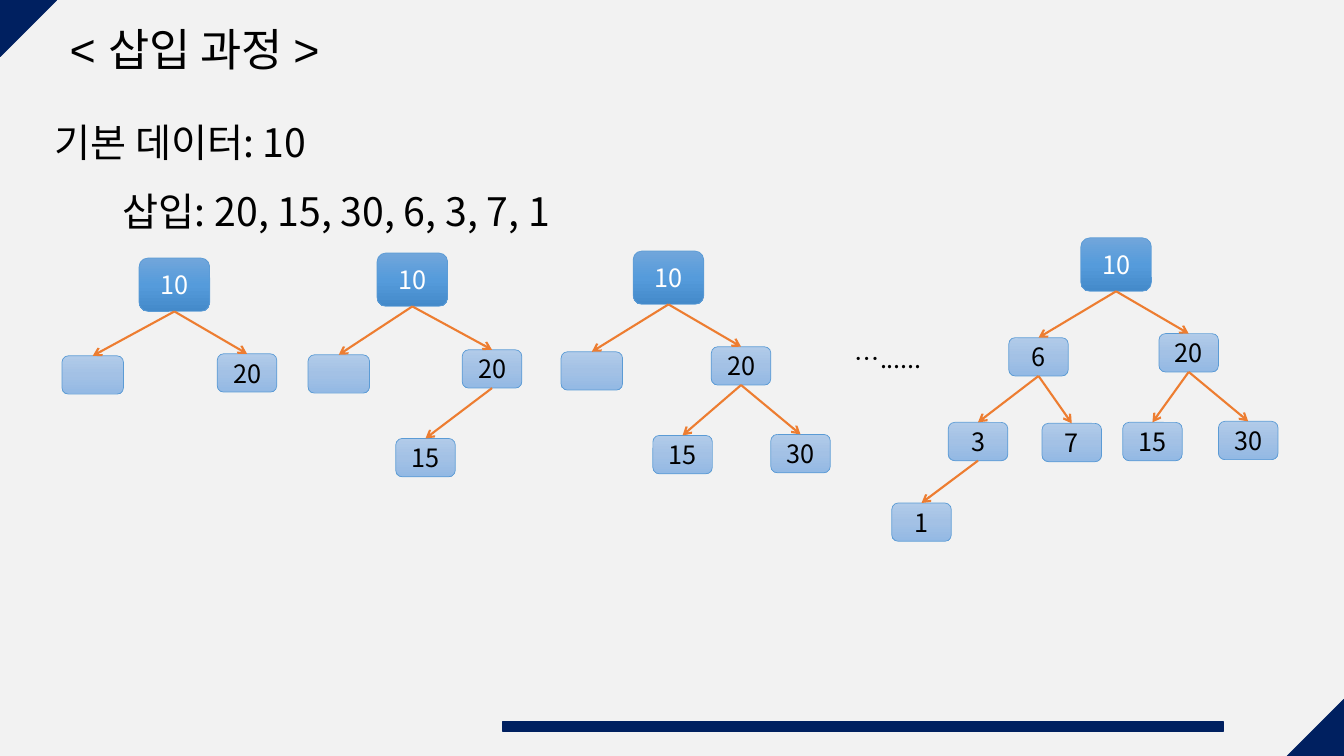
import copy
import pptx
import pptx.util
import pptx.dml.color
import pptx.enum.shapes
import pptx.enum.text
import pptx.oxml
import pptx.oxml.ns

COLS, ROWS = 133.3, 75
CELL = pptx.util.Inches(0.1)
HUES = {"back": "F2F2F2", "navy": "002060", "ink": "000000", "white": "FFFFFF",
        "edge": "5B9BD5", "arrow": "ED7D31"}
FADES = {"root": ("71A6DB", "559BDB", "448ACA"), "leaf": ("B1CBE9", "A3C1E5", "93B9E4")}
SANS = "Noto Sans CJK KR"
FORMS = pptx.enum.shapes.MSO_SHAPE
ALIGN = pptx.enum.text.PP_ALIGN
ANCHOR = pptx.enum.text.MSO_ANCHOR

TREES = [
    ((13.8, 25.6), [("20", 7.2, 9.5, "10"), ("", -8.1, 9.7, "10")]),
    ((37.4, 25.1), [("20", 7.9, 9.6, "10"), ("", -7.3, 10.1, "10"), ("15", 1.3, 18.4, "20")]),
    ((62.8, 24.9), [("20", 7.2, 9.5, "10"), ("", -7.6, 10, "10"), ("15", 1.4, 18.3, "20"),
                    ("30", 13.1, 18.2, "20")]),
    ((107.2, 23.6), [("20", 7.2, 9.5, "10"), ("6", -7.7, 9.9, "10"), ("15", 3.6, 18.3, "20"),
                     ("30", 13.1, 18.2, "20"), ("3", -13.7, 18.3, "6"), ("7", -4.4, 18.4, "6"),
                     ("1", -19.3, 26.3, "3")]),
]


def hue(name):
    """Return the colour with this name or hex string."""
    return pptx.dml.color.RGBColor.from_string(HUES.get(name, name))


def span(*box):
    """Turn grid columns and rows into lengths."""
    return [round(n * CELL) for n in box]


def write(frame, text, size, font=SANS, tint="ink", align=ALIGN.LEFT):
    """Add one run to the first paragraph of a frame."""
    line = frame.paragraphs[0]
    line.alignment = align
    run = line.add_run()
    run.text = text
    run.font.size = pptx.util.Pt(size)
    run.font.name = font
    run.font.color.rgb = hue(tint)
    east = pptx.oxml.parse_xml(
        f'<a:ea {pptx.oxml.ns.nsdecls("a")} typeface="{SANS}"/>')
    run.font._element.find(pptx.oxml.ns.qn("a:latin")).addnext(east)


def form(slide, kind, box, edge, width):
    """Add a preset shape with a plain outline."""
    shape = slide.shapes.add_shape(kind, *span(*box))
    shape.shadow.inherit = False
    shape.line.color.rgb = hue(edge)
    shape.line.width = pptx.util.Pt(width)
    return shape


def frame(slide, box):
    """Draw the corners and the foot bar around the slide box."""
    left, top, wide, high = box
    side = 5.6
    parts = [(FORMS.RIGHT_TRIANGLE, (left, top, side, side), 90),
             (FORMS.RIGHT_TRIANGLE, (left + wide - side, top + high - side, side, side), 270),
             (FORMS.RECTANGLE, (left + 49.9, top + 71.6, 71.4, 1), 0)]
    for kind, area, turn in parts:
        shape = form(slide, kind, area, "navy", 1)
        shape.fill.solid()
        shape.fill.fore_color.rgb = hue("navy")
        shape.rotation = turn


def head(slide, box):
    """Fill the title placeholder."""
    title = slide.shapes.title
    title.left, title.top, title.width, title.height = span(*box)
    text = title.text_frame
    text.auto_size = pptx.enum.text.MSO_AUTO_SIZE.SHAPE_TO_FIT_TEXT
    text.word_wrap = False
    text.vertical_anchor = ANCHOR.TOP
    write(text, "< 삽입 과정 >", 32, "Arial")


def label(slide, box, text, size):
    """Add a wrapped text box."""
    area = slide.shapes.add_textbox(*span(*box)).text_frame
    area.word_wrap = True
    write(area, text, size)


def node(slide, box, text, kind):
    """Draw one tree node with a three-stop fade."""
    shape = form(slide, FORMS.ROUNDED_RECTANGLE, box, "edge", 0.5)
    shape.fill.gradient()
    shape.fill.gradient_angle = 270
    stops = shape._element.spPr.find(".//" + pptx.oxml.ns.qn("a:gsLst"))
    stops.append(copy.deepcopy(stops[-1]))
    for stop, place, tint in zip(shape.fill.gradient_stops, (0, 0.5, 1), FADES[kind]):
        stop.position = place
        stop.color.rgb = hue(tint)
    if text:
        shape.text_frame.vertical_anchor = ANCHOR.MIDDLE
        write(shape.text_frame, text, 18, tint="white" if kind == "root" else "ink",
              align=ALIGN.CENTER)
    return shape


def arrow(slide, start, end):
    """Join the foot of one node to the top of another."""
    line = slide.shapes.add_connector(pptx.enum.shapes.MSO_CONNECTOR.STRAIGHT, 0, 0, 0, 0)
    line.begin_connect(start, 2)
    line.end_connect(end, 0)
    line.line.color.rgb = hue("arrow")
    line.line.width = pptx.util.Pt(1.5)
    names = pptx.oxml.ns.nsdecls("a")
    line.line._get_or_add_ln().append(
        pptx.oxml.parse_xml(f'<a:tailEnd {names} type="arrow"/>'))
    line._element.spPr.append(pptx.oxml.parse_xml(f"<a:effectLst {names}/>"))


def tree(slide, box, nodes):
    """Draw a tree whose nodes are placed from the root box."""
    left, top, wide, high = box
    made = {"10": node(slide, box, "10", "root")}
    for text, shift, drop, above in nodes:
        size = 5.9 if text else 6.1
        area = (left + wide / 2 + shift - size / 2, top + drop, size, 3.8)
        made[text] = node(slide, area, text, "leaf")
        arrow(slide, made[above], made[text])


def main():
    """Build the slide and save it."""
    deck = pptx.Presentation()
    deck.slide_width, deck.slide_height = span(COLS, ROWS)
    slide = deck.slides.add_slide(deck.slide_layouts[5])
    slide.background.fill.solid()
    slide.background.fill.fore_color.rgb = hue("back")
    frame(slide, (0, 0, COLS, ROWS))
    head(slide, (5.9, 1.7, 31, 6.4))
    label(slide, (4.4, 11.2, 65.9, 5.7), "기본 데이터: 10", 28)
    label(slide, (11.2, 18.1, 65.9, 5.7), "삽입: 20, 15, 30, 6, 3, 7, 1", 28)
    for spot, nodes in TREES:
        tree(slide, (*spot, 7, 5.3), nodes)
    label(slide, (83.8, 33.6, 9.4, 4), "…......", 18)
    deck.save("out.pptx")


if __name__ == "__main__":
    main()
